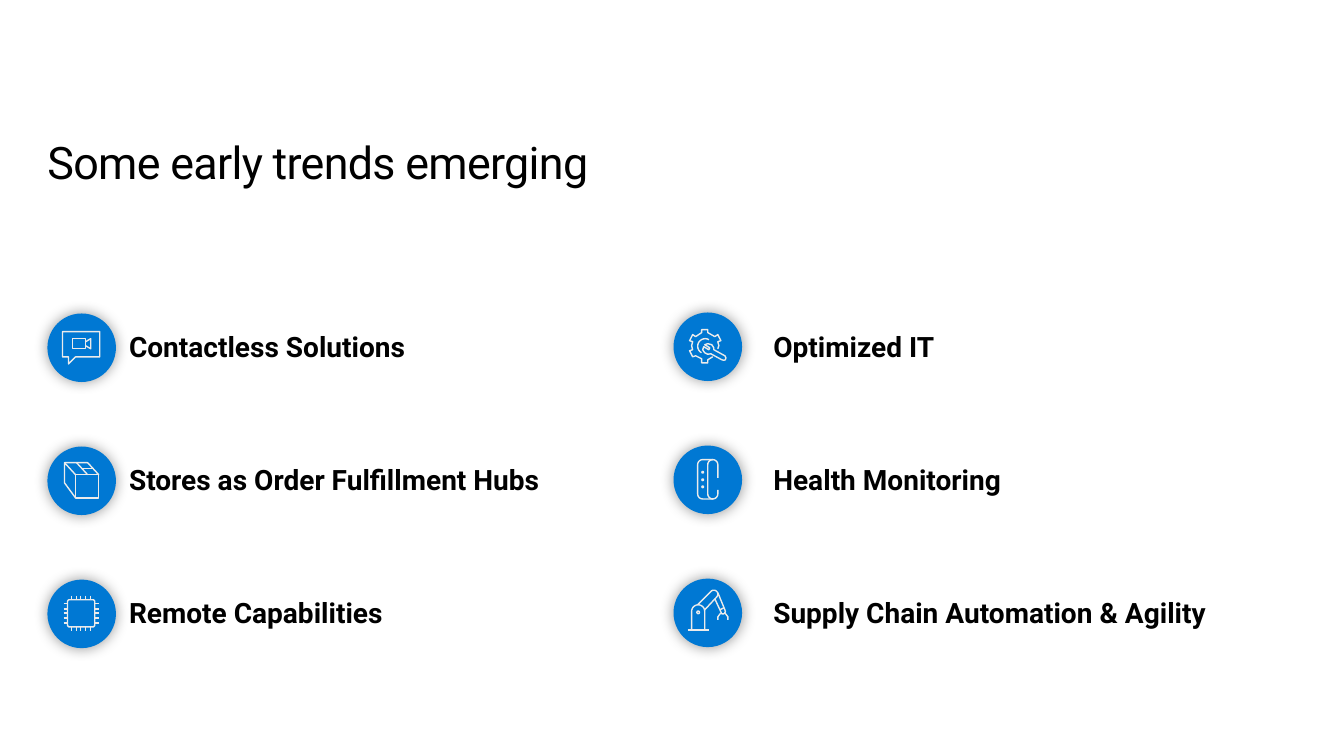
from dataclasses import dataclass
from math import cos, radians, sin

from lxml.etree import SubElement
from pptx import Presentation
from pptx.dml.color import RGBColor
from pptx.enum.shapes import MSO_SHAPE as Preset
from pptx.enum.text import MSO_ANCHOR as Anchor
from pptx.oxml.ns import qn
from pptx.slide import Slide
from pptx.text.text import Font
from pptx.util import Inches, Pt

Point = tuple[float, float]
Stroke = list[Point]


@dataclass(frozen=True)
class Theme:
    face: str = "Roboto"
    ink: RGBColor = RGBColor(0x00, 0x00, 0x00)
    badge: RGBColor = RGBColor(0x00, 0x78, 0xD3)
    icon: RGBColor = RGBColor(0xEB, 0xEB, 0xEB)
    title_size: int = 32
    trend_size: int = 20


@dataclass(frozen=True)
class Trend:
    label: str
    icon: list[Stroke]


@dataclass(frozen=True)
class Column:
    badge_left: float
    badge_top: float
    inset_left: float
    inset_right: float
    trends: list[Trend]


THEME = Theme()
ROW_HEIGHT = 1.32
BADGE_SIZE = 0.68


def loop(*points: Point) -> Stroke:
    return [*points, points[0]]


def box(left: float, top: float, right: float, bottom: float) -> Stroke:
    return loop((left, top), (right, top), (right, bottom), (left, bottom))


def arc(x: float, y: float, radius: float, start: float, end: float) -> Stroke:
    steps = 12
    angles = [radians(start + (end - start) * step / steps) for step in range(steps + 1)]
    return [(x + radius * cos(angle), y + radius * sin(angle)) for angle in angles]


def dot(x: float, y: float, radius: float) -> Stroke:
    return arc(x, y, radius, 0, 360)


VIDEO_CHAT = [
    loop((36, 43), (28, 43), (21, 50), (21, 43), (15, 43), (15, 18), (52, 18), (52, 43)),
    box(25, 25, 38, 35),
    [(38, 28), (43, 25), (43, 35), (38, 32)],
]

PARCEL = [
    box(28, 28, 51, 51),
    [(28, 28), (17, 16), (17, 36), (28, 51)],
    [(17, 16), (40, 16), (51, 28)],
    [(29, 16), (40, 28)],
    [(34, 22), (45, 22)],
]

PINS = (24, 29, 33, 38, 43)
PIN_SPANS = ((16, 20), (47, 51))
CHIP = [
    loop(
        *arc(22, 22, 2, 180, 270),
        *arc(45, 22, 2, 270, 360),
        *arc(45, 45, 2, 0, 90),
        *arc(22, 45, 2, 90, 180),
    ),
    *[[(pin, start), (pin, end)] for pin in PINS for start, end in PIN_SPANS],
    *[[(start, pin), (end, pin)] for pin in PINS for start, end in PIN_SPANS],
]

GEAR_WRENCH = [
    [
        (39, 44), (34, 47), (34, 50), (28, 50), (28, 46), (22, 43), (19, 44), (16, 38),
        (19, 37), (18, 33), (19, 29), (16, 28), (19, 22), (22, 24), (28, 20), (28, 17),
        (34, 17), (34, 20), (41, 24), (44, 22), (47, 28), (44, 29), (45, 33), (44, 36),
    ],
    arc(31.5, 33.5, 7.5, 300, 120),
    loop(
        (37, 41), (48, 47), (50, 47.5), (51.5, 47), (52, 45), (51, 43), (40, 37), (40, 35),
        (38, 32), (34, 31), (31, 32), (36, 35), (35, 37), (30, 34), (29, 37), (31, 40),
        (34, 41.5),
    ),
]

WRISTBAND = [
    [(39, 14), *arc(29, 19, 5, 270, 180), *arc(29, 48, 5, 180, 90), (39, 53)],
    [(44, 32), *arc(39, 19, 5, 360, 180), *arc(39, 48, 5, 180, 0), (44, 44)],
    *[dot(29, y, 0.8) for y in (26.5, 34, 41)],
]

ROBOT_ARM = [
    [(51, 34), (54, 38), (54, 41)],
    [(47, 34), (44, 38), (44, 41)],
    loop((18, 51), *arc(24.5, 32.5, 6.5, 180, 360), (31, 51)),
    [(14, 51), (35, 51)],
    dot(24.5, 33.5, 1.3),
    [(46, 31), (50, 29)],
    [(31, 31), *arc(40, 15.5, 4, 40, -140), (24, 26)],
    [(41, 20), (47, 33), (48, 35), (50, 35), (51.5, 33), (51, 31), (44, 14)],
]

COLUMNS = [
    Column(0.47, 3.11, 0.8, 0.2, [
        Trend("Contactless Solutions", VIDEO_CHAT),
        Trend("Stores as Order Fulfillment Hubs", PARCEL),
        Trend("Remote Capabilities", CHIP),
    ]),
    Column(6.68, 3.1, 1, 0, [
        Trend("Optimized IT", GEAR_WRENCH),
        Trend("Health Monitoring", WRISTBAND),
        Trend("Supply Chain Automation & Agility", ROBOT_ARM),
    ]),
]


def style_font(font: Font, size: int, bold: bool = False) -> None:
    font.name = THEME.face
    font.size = Pt(size)
    font.bold = bold
    font.color.rgb = THEME.ink


def add_trend_table(page: Slide) -> None:
    widths = (0.48, 6.19, 6.19, 0.47)
    rows = len(COLUMNS[0].trends)
    table = page.shapes.add_table(
        rows, len(widths), 0, Inches(2.79), Inches(sum(widths)), Inches(rows * ROW_HEIGHT)
    ).table
    table.first_row = table.horz_banding = False
    for table_column, width in zip(table.columns, widths):
        table_column.width = Inches(width)
    for cell in table.iter_cells():
        cell.fill.background()
    for index, column in enumerate(COLUMNS, start=1):
        for row, trend in enumerate(column.trends):
            cell = table.cell(row, index)
            cell.vertical_anchor = Anchor.MIDDLE
            cell.margin_left = Inches(column.inset_left)
            cell.margin_right = Inches(column.inset_right)
            cell.margin_top = cell.margin_bottom = Inches(0.1)
            para = cell.text_frame.paragraphs[0]
            para.text = trend.label
            style_font(para.font, THEME.trend_size, bold=True)


def add_title(page: Slide, text: str) -> None:
    title = page.shapes.add_textbox(Inches(0.47), Inches(1.33), Inches(8.36), Inches(0.67))
    frame = title.text_frame
    frame.word_wrap = True
    frame.margin_left, frame.margin_right = 0, Inches(0.16)
    frame.margin_top = frame.margin_bottom = Inches(0.1)
    para = frame.paragraphs[0]
    para.line_spacing = Pt(THEME.title_size)
    span = para.add_run()
    span.text = text
    span._r.get_or_add_rPr().set("spc", "-50")
    style_font(para.font, THEME.title_size)


def add_badge(page: Slide, left: float, top: float) -> None:
    size = Inches(BADGE_SIZE)
    badge = page.shapes.add_shape(Preset.OVAL, Inches(left), Inches(top), size, size)
    badge.fill.solid()
    badge.fill.fore_color.rgb = THEME.badge
    badge.line.fill.background()
    badge.shadow.inherit = False
    effects = badge._element.spPr.find(qn("a:effectLst"))
    glow = SubElement(effects, qn("a:outerShdw"), blurRad=str(Pt(10)), dist="0", algn="ctr")
    color = SubElement(glow, qn("a:srgbClr"), val="000000")
    SubElement(color, qn("a:alpha"), val="40000")


def add_icon(page: Slide, strokes: list[Stroke], left: float, top: float) -> None:
    scaled = [[(Inches(x / 100), Inches(y / 100)) for x, y in stroke] for stroke in strokes]
    builder = page.shapes.build_freeform(*scaled[0][0])
    for index, (start, *rest) in enumerate(scaled):
        if index:
            builder.move_to(*start)
        builder.add_line_segments(rest, close=False)
    icon = builder.convert_to_shape(Inches(left), Inches(top))
    icon.fill.background()
    icon.line.color.rgb = THEME.icon
    icon.line.width = Pt(1)
    icon.shadow.inherit = False


def main() -> None:
    deck = Presentation()
    deck.slide_width, deck.slide_height = Inches(13.33), Inches(7.5)
    page = deck.slides.add_slide(deck.slide_layouts[6])
    add_trend_table(page)
    add_title(page, "Some early trends emerging")
    for column in COLUMNS:
        for row, trend in enumerate(column.trends):
            top = column.badge_top + row * ROW_HEIGHT
            add_badge(page, column.badge_left, top)
            add_icon(page, trend.icon, column.badge_left, top)
    deck.save("out.pptx")


if __name__ == "__main__":
    main()
